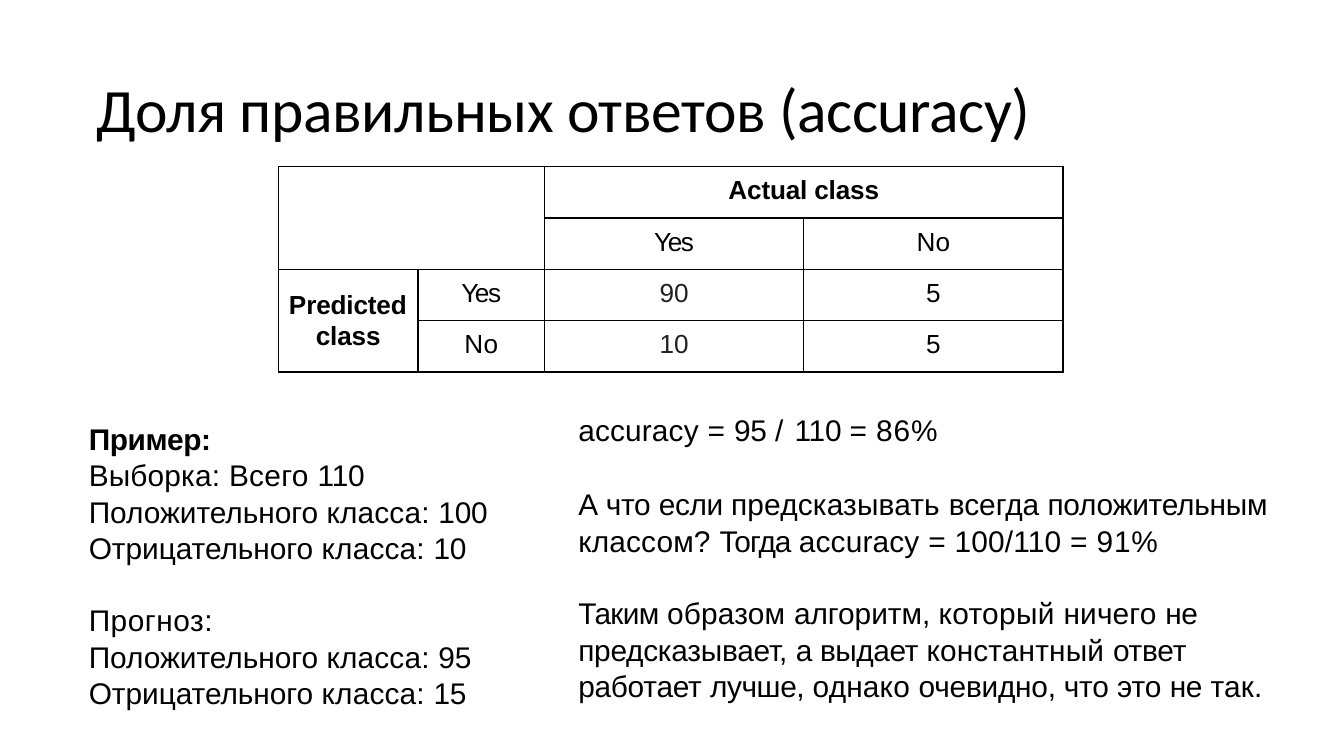
from lxml.etree import SubElement
from pptx import Presentation
from pptx.dml.color import RGBColor
from pptx.enum.text import MSO_ANCHOR, MSO_AUTO_SIZE, PP_ALIGN
from pptx.oxml import parse_xml
from pptx.util import Cm, Pt

NAMESPACE = "http://schemas.openxmlformats.org/drawingml/2006/main"
BLACK = "000000"


def color(value):
    return RGBColor.from_string(value)


def add_runs(paragraph, parts, size, font="Arial", bold=False, fill=BLACK):
    for text, spacing in parts:
        run = paragraph.add_run()
        run.text = text
        run.font.name = font
        run.font.size = Pt(size)
        run.font.bold = bold
        run.font.color.rgb = color(fill)
        run._r.get_or_add_rPr().set("spc", str(round(spacing * 100)))


presentation = Presentation()
presentation.slide_width = Cm(25.4)
presentation.slide_height = Cm(14.29)
slide = presentation.slides.add_slide(presentation.slide_layouts[5])

title = slide.shapes.title
title.left, title.top, title.width, title.height = Cm(1.57), Cm(1.22), Cm(19.58), Cm(1.68)
title.text_frame.auto_size = MSO_AUTO_SIZE.NONE
title.text_frame.vertical_anchor = MSO_ANCHOR.TOP
title_paragraph = title.text_frame.paragraphs[0]
title_paragraph.alignment = PP_ALIGN.LEFT
add_runs(title_paragraph, [("Доля правильных ответов (accuracy)", -0.2)], 33, "Calibri")

column_widths = [2.64, 2.39, 4.9, 4.9]
row_height = 0.97
table = slide.shapes.add_table(
    4, 4, Cm(5.26), Cm(3.15), Cm(sum(column_widths)), Cm(4 * row_height)
).table
table.first_row = False
table.horz_banding = False
for column, width in zip(table.columns, column_widths):
    column.width = Cm(width)
for row in table.rows:
    row.height = Cm(row_height)

for cell in table.iter_cells():
    cell.margin_left = cell.margin_right = cell.margin_bottom = 0
    cell.margin_top = Cm(0.18)
    cell.fill.background()
    properties = cell._tc.get_or_add_tcPr()
    for index, side in enumerate(["lnL", "lnR", "lnT", "lnB"]):
        border = parse_xml(f'<a:{side} xmlns:a="{NAMESPACE}" w="9525"/>')
        border_fill = SubElement(border, f"{{{NAMESPACE}}}solidFill")
        SubElement(border_fill, f"{{{NAMESPACE}}}srgbClr", val=BLACK)
        properties.insert(index, border)

for first, last in [((0, 0), (1, 1)), ((0, 2), (0, 3)), ((2, 0), (3, 0))]:
    table.cell(*first).merge(table.cell(*last))

table_texts = [
    (0, 2, "Actual class", -0.1, True, BLACK),
    (1, 2, "Yes", -0.8, False, BLACK),
    (1, 3, "No", 0.1, False, BLACK),
    (2, 1, "Yes", -0.8, False, BLACK),
    (2, 2, "90", -0.1, False, "212121"),
    (2, 3, "5", 0, False, BLACK),
    (3, 1, "No", 0.1, False, BLACK),
    (3, 2, "10", -0.1, False, "212121"),
    (3, 3, "5", 0, False, BLACK),
]
for row_index, column_index, text, spacing, bold, fill in table_texts:
    paragraph = table.cell(row_index, column_index).text_frame.paragraphs[0]
    paragraph.alignment = PP_ALIGN.CENTER
    paragraph.space_before = Pt(4.9)
    add_runs(paragraph, [(text, spacing)], 14, bold=bold, fill=fill)

predicted_cell = table.cell(2, 0)
predicted_cell.margin_top = Cm(0.38)
predicted_paragraph = predicted_cell.text_frame.paragraphs[0]
predicted_paragraph.line_spacing = Pt(16.5)
predicted_paragraph.space_before = Pt(11.2)
predicted_properties = predicted_paragraph._p.get_or_add_pPr()
predicted_properties.set("marL", str(Cm(0.71)))
predicted_properties.set("indent", str(Cm(-0.51)))
add_runs(predicted_paragraph, [("P", -0.2), ("redicted class", -0.1)], 14, bold=True)

positive = [("Положительного ", 0), ("класса: ", 0.1)]
negative = [("Отрицательного ", 0), ("класса: ", 0.1)]
text_blocks = [
    (10.9, 7.75, 6.93, 0.74, 1, 1, [
        [("accuracy ", 0.1), ("= ", 0.2), ("95 ", -0.1), ("/ ", 0.8), ("110 ", -0.1),
         ("= ", 0.2), ("86%", 0.5)],
    ]),
    (10.9, 9.14, 13.31, 1.45, 1.02, 0.7, [
        [("А ", -0.3), ("что ", -0.1), ("если ", -0.2), ("предсказывать ", 0.1),
         ("всегда ", 0), ("положительным ", -0.1), ("классом? ", 0.1), ("Тогда ", -0.5),
         ("accuracy ", 0.1), ("= ", 0.2), ("100/110 ", 0.1), ("= ", 0.2), ("91%", 0.5)],
    ]),
    (10.9, 11.2, 13.21, 2.13, 1.02, 0.7, [
        [("Таким ", -0.3), ("образом ", 0.1), ("алгоритм, ", 0), ("который ", 0.2),
         ("ничего ", 0.1), ("не ", -0.2), ("предсказывает, ", -0.1), ("а ", -0.3),
         ("выдает ", -0.2), ("константный ", 0.1), ("ответ работает ", -0.1),
         ("лучше, ", -0.2), ("однако ", 0.1), ("очевидно, что ", -0.1), ("это ", 0),
         ("не ", -0.1), ("так.", 0.1)],
    ]),
    (1.65, 7.92, 7.72, 2.82, 1, 1, [
        [("Пример:", -0.2)],
        [("Выборка: ", 0.1), ("Всего ", 0.2), ("110", -0.1)],
        positive + [("100", -0.1)],
        negative + [("10", -0.1)],
    ]),
    (1.65, 11.35, 7.39, 2.13, 1, 1, [
        [("Прогноз:", 0.3)],
        positive + [("95", -0.1)],
        negative + [("15", -0.1)],
    ]),
]
for left, top, width, height, line_spacing, space_before, paragraphs in text_blocks:
    text_frame = slide.shapes.add_textbox(Cm(left), Cm(top), Cm(width), Cm(height)).text_frame
    text_frame.word_wrap = True
    text_frame.margin_left = text_frame.margin_top = Cm(0.03)
    text_frame.margin_right = text_frame.margin_bottom = 0
    for index, parts in enumerate(paragraphs):
        paragraph = text_frame.add_paragraph() if index else text_frame.paragraphs[0]
        paragraph.line_spacing = line_spacing
        paragraph.space_before = Pt(0.3 if index else space_before)
        add_runs(paragraph, parts, 16, bold=parts[0][0] == "Пример:")

presentation.save("out.pptx")
